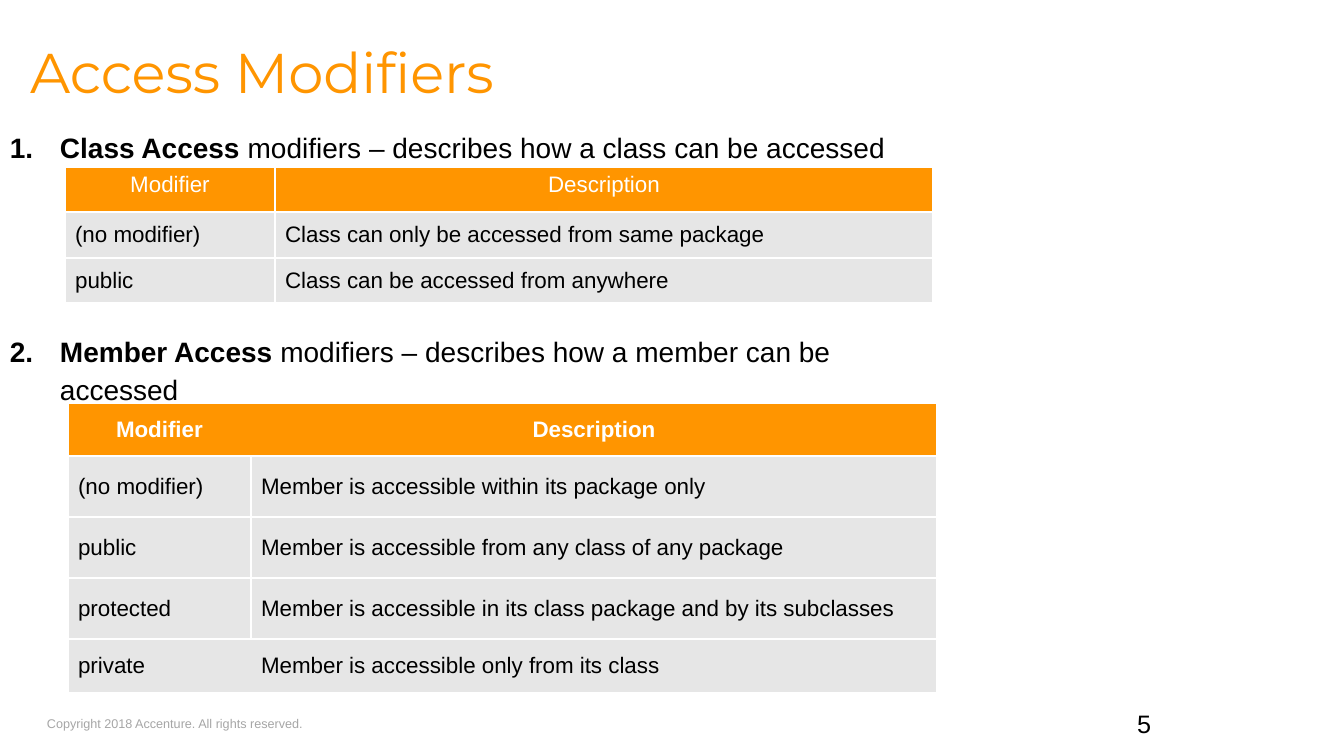
import pptx
import pptx.dml.color
import pptx.enum.text
import pptx.util
from lxml import etree
from pptx.oxml.ns import qn

PX = 914400 / 100.8
ORANGE, GREY, WHITE, BLACK = "FF9500", "E6E6E6", "FFFFFF", "000000"
ALIGN = pptx.enum.text.PP_ALIGN
ANCHOR = pptx.enum.text.MSO_ANCHOR

CLASS_ROWS = [
    ("Modifier", "Description"),
    ("(no modifier)", "Class can only be accessed from same package"),
    ("public", "Class can be accessed from anywhere"),
]
MEMBER_ROWS = [
    ("Modifier", "Description"),
    ("(no modifier)", "Member is accessible within its package only"),
    ("public", "Member is accessible from any class of any package"),
    ("protected", "Member is accessible in its class package and by its subclasses"),
    ("private", "Member is accessible only from its class"),
]
HEADINGS = [
    ("Class Access", " modifiers – describes how a class can be accessed"),
    ("Member Access", " modifiers – describes how a member can be accessed"),
]


def px(length):
    """Turn pixels into EMU."""
    return pptx.util.Emu(round(length * PX))


def rgb(code):
    """Turn a hex string into a colour."""
    return pptx.dml.color.RGBColor.from_string(code)


def add_run(paragraph, words, size, color=BLACK, bold=False, face="Arial"):
    """Append one formatted run."""
    run = paragraph.add_run()
    run.text = words
    run.font.size = pptx.util.Pt(size)
    run.font.name = face
    run.font.bold = bold
    run.font.color.rgb = rgb(color)


def add_title(slide, words):
    """Place and fill the slide title."""
    title = slide.shapes.title
    title.left, title.top, title.width, title.height = map(px, (30, -6, 839, 110))
    frame = title.text_frame
    frame.margin_left = frame.margin_right = frame.margin_top = frame.margin_bottom = 0
    frame.vertical_anchor = ANCHOR.BOTTOM
    frame.auto_size = pptx.enum.text.MSO_AUTO_SIZE.NONE
    paragraph = frame.paragraphs[0]
    paragraph.alignment = ALIGN.LEFT
    paragraph.line_spacing = 0.8
    add_run(paragraph, words, 40, ORANGE, face="Montserrat")


def add_text_frame(slide, box, wrap=True):
    """Add a text box and return its frame."""
    frame = slide.shapes.add_textbox(*map(px, box)).text_frame
    frame.word_wrap = wrap
    return frame


def add_numbered_headings(slide, box, headings, gap):
    """Add numbered headings, each with a bold lead."""
    frame = add_text_frame(slide, box)
    for index, (lead, rest) in enumerate(headings):
        paragraph = frame.add_paragraph() if index else frame.paragraphs[0]
        properties = paragraph._p.get_or_add_pPr()
        properties.set("marL", str(px(50)))
        properties.set("indent", str(px(-50)))
        etree.SubElement(properties, qn("a:buAutoNum"), type="arabicPeriod")
        paragraph.line_spacing = 1.14
        if index:
            paragraph.space_before = pptx.util.Pt(gap)
        add_run(paragraph, lead, 20, bold=True)
        add_run(paragraph, rest, 20)


def set_borders(cell, sides):
    """Draw white lines on the given sides and clear the others."""
    properties = cell._tc.get_or_add_tcPr()
    for index, side in enumerate("LRTB"):
        line = etree.Element(qn(f"a:ln{side}"), w=str(pptx.util.Pt(1)))
        if side in sides:
            fill = etree.SubElement(line, qn("a:solidFill"))
            etree.SubElement(fill, qn("a:srgbClr"), val=WHITE)
        else:
            etree.SubElement(line, qn("a:noFill"))
        properties.insert(index, line)


def add_modifier_table(slide, left, top, widths, heights, rows,
                       header_bold, header_anchor, undivided=()):
    """Add a two-column table, with no divider in the undivided rows."""
    table = slide.shapes.add_table(
        len(rows), len(widths), *map(px, (left, top, sum(widths), sum(heights)))
    ).table
    table.horz_banding = False
    for column, width in zip(table.columns, widths):
        column.width = px(width)
    for row_index, (row, height) in enumerate(zip(rows, heights)):
        table.rows[row_index].height = px(height)
        header = row_index == 0
        for column_index, words in enumerate(row):
            cell = table.cell(row_index, column_index)
            cell.fill.solid()
            cell.fill.fore_color.rgb = rgb(ORANGE if header else GREY)
            cell.vertical_anchor = header_anchor if header else ANCHOR.MIDDLE
            divider = "RL"[column_index]
            hidden = divider if row_index in undivided else ""
            set_borders(cell, set("LRTB") - set(hidden))
            paragraph = cell.text_frame.paragraphs[0]
            paragraph.alignment = ALIGN.CENTER if header else ALIGN.LEFT
            add_run(paragraph, words, 16, WHITE if header else BLACK,
                    header and header_bold)


def add_footer(slide):
    """Add the copyright line and the slide number."""
    copyright_line = add_text_frame(slide, (47, 711, 259, 25), wrap=False)
    copyright_line.margin_left = copyright_line.margin_right = 0
    add_run(copyright_line.paragraphs[0],
            "Copyright 2018 Accenture. All rights reserved.", 9, "A6A6A6")
    number = add_text_frame(slide, (975, 714, 186, 30))
    number.vertical_anchor = ANCHOR.BOTTOM
    number.paragraphs[0].alignment = ALIGN.RIGHT
    add_run(number.paragraphs[0], "5", 18)


def main():
    """Build and save the access modifiers slide."""
    deck = pptx.Presentation()
    deck.slide_width, deck.slide_height = px(1344), px(756)
    slide = deck.slides.add_slide(deck.slide_layouts[5])
    add_footer(slide)
    add_title(slide, "Access Modifiers")
    add_modifier_table(slide, 68, 403, (183, 686), (53, 61, 61, 61, 54),
                       MEMBER_ROWS, True, ANCHOR.MIDDLE, undivided=(0, 4))
    add_numbered_headings(slide, (0, 121, 932, 572), HEADINGS, 118)
    add_modifier_table(slide, 65, 167, (210, 658), (45, 46, 45),
                       CLASS_ROWS, False, ANCHOR.TOP)
    deck.save("out.pptx")


if __name__ == "__main__":
    main()
